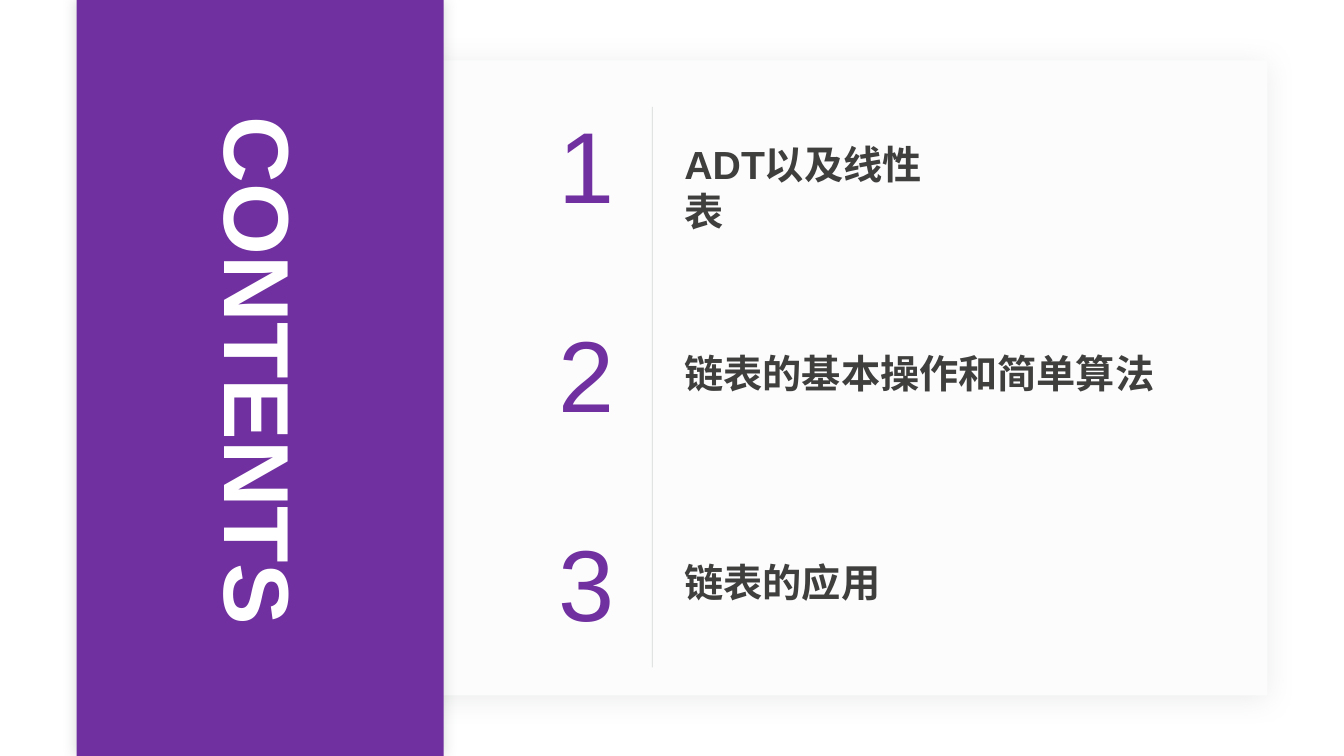
"""Builds a contents slide with a purple band and three numbered topics."""
from pptx import Presentation
from pptx.dml.color import RGBColor
from pptx.enum import shapes, text
from pptx.oxml import parse_xml
from pptx.oxml.ns import nsdecls
from pptx.util import Inches, Pt

HUES = {"band": "7030A0", "card": "FCFCFD", "grey": "969F98",
        "ink": "3F403E", "white": "FFFFFF"}
TOPICS = [("ADT以及线性表", 2.88), ("链表的基本操作和简单算法", 4.91), ("链表的应用", 2.17)]
TOP, STEP = 0.97, 2.075
FONT = "Arial"


def hue(name):
    return RGBColor.from_string(HUES[name])


def panel(slide, box, fill, alpha, blur, dist, angle):
    shape = slide.shapes.add_shape(shapes.MSO_SHAPE.RECTANGLE, *map(Inches, box))
    shape.fill.solid()
    shape.fill.fore_color.rgb = hue(fill)
    shape.line.fill.background()
    shape._element.spPr.append(parse_xml(
        f'<a:effectLst {nsdecls("a")}><a:outerShdw blurRad="{Pt(blur)}" '
        f'dist="{Pt(dist)}" dir="{angle * 60000}" algn="ctr" rotWithShape="0">'
        f'<a:srgbClr val="{HUES["grey"]}"><a:alpha val="{alpha * 1000}"/>'
        '</a:srgbClr></a:outerShdw></a:effectLst>'))


def label(slide, words, box, size, color, bold=False, wrap=False):
    shape = slide.shapes.add_textbox(*map(Inches, box))
    frame = shape.text_frame
    frame.word_wrap = wrap
    frame.auto_size = text.MSO_AUTO_SIZE.SHAPE_TO_FIT_TEXT
    para = frame.paragraphs[0]
    para.text = words
    para.font.name, para.font.size, para.font.bold = FONT, Pt(size), bold
    para.font.color.rgb = hue(color)
    return shape


def rule(slide, x, top, end):
    line = slide.shapes.add_connector(
        shapes.MSO_CONNECTOR.STRAIGHT, *map(Inches, (x, top, x, end)))
    line.line.width = Pt(0.5)
    line.line.color.rgb = hue("grey")
    props = line._element.spPr
    tint = props.find(".//{*}srgbClr")
    tint.append(parse_xml(f'<a:alpha {nsdecls("a")} val="40000"/>'))
    props.append(parse_xml(f'<a:effectLst {nsdecls("a")}/>'))


def main():
    deck = Presentation()
    deck.slide_width, deck.slide_height = Inches(13.33), Inches(7.5)
    slide = deck.slides.add_slide(deck.slide_layouts[6])
    panel(slide, (2.35, 0.6, 10.22, 6.3), "card", 20, 20, 3, 90)
    rule(slide, 6.47, 1.06, 6.62)
    for i, (topic, width) in enumerate(TOPICS):
        top = TOP + i * STEP
        label(slide, topic, (6.69, top + 0.37, width, 0.57), 28, "ink", True, True)
        digit = label(slide, str(i + 1), (5.44, top, 0.75, 1.31), 72, "band")
        para = digit.text_frame.paragraphs[0]
        para.alignment = text.PP_ALIGN.CENTER
        para.runs[0].font._element.set("spc", "-300")
    panel(slide, (0.76, 0, 3.64, 7.5), "band", 40, 10, 0, 0)
    title = label(slide, "CONTENTS", (-0.11, 3.15, 5.39, 1.21), 66, "white", True)
    title.rotation = 90
    deck.save("out.pptx")


if __name__ == "__main__":
    main()
